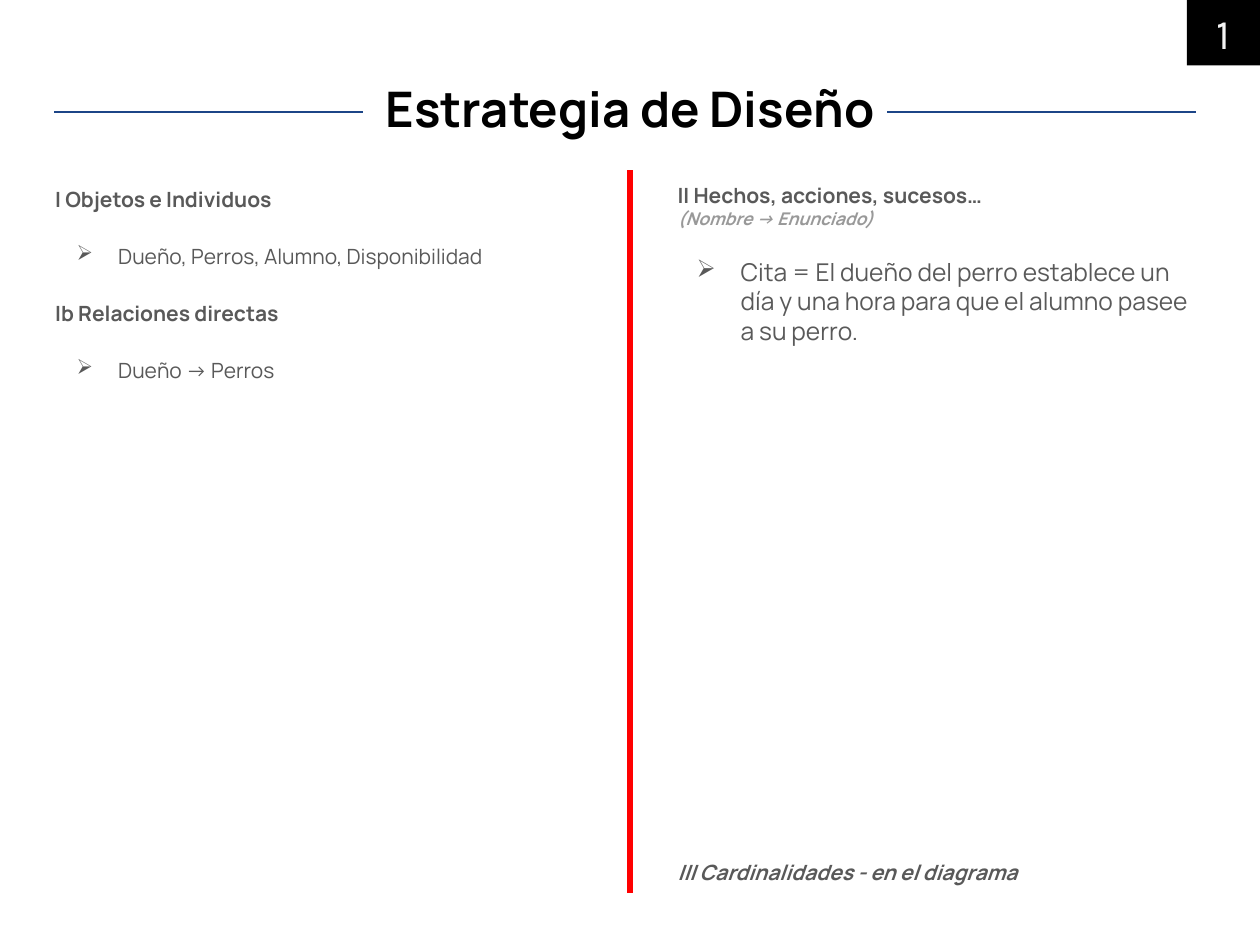
from lxml import etree
from pptx import Presentation
from pptx.dml.color import RGBColor
from pptx.enum.shapes import MSO_CONNECTOR, MSO_SHAPE
from pptx.enum.text import MSO_ANCHOR, PP_ALIGN
from pptx.oxml.ns import qn
from pptx.util import Inches, Pt

LINE, RECT = MSO_CONNECTOR.STRAIGHT, MSO_SHAPE.RECTANGLE
TOP, MIDDLE = MSO_ANCHOR.TOP, MSO_ANCHOR.MIDDLE
LEFT, CENTER = PP_ALIGN.LEFT, PP_ALIGN.CENTER

# Slide grid, in inches
WIDE, HIGH = 10, 7.5
EDGE, COL = 0.34, 4.37
RIGHT = 5.28
HEAD, BODY, FOOT = 0.52, 1.35, 7.09
PAD = 0.1
GRAY = "595959"


def color(code):
    return RGBColor.from_string(code)


def set_frame(shape, anchor=TOP):
    frame = shape.text_frame
    frame.word_wrap = True
    frame.vertical_anchor = anchor
    frame.margin_left = frame.margin_right = Inches(PAD)
    frame.margin_top = frame.margin_bottom = Inches(PAD)
    return frame


def add_box(slide, box):
    return set_frame(slide.shapes.add_textbox(*map(Inches, box)))


def add_run(para, text, size=12, font="Manrope", ink=GRAY, bold=False, italic=False):
    run = para.add_run()
    run.text = text
    face = run.font
    face.size, face.name = Pt(size), font
    face.bold, face.italic = bold, italic
    face.color.rgb = color(ink)


def add_text(frame, text, align=LEFT, space=1, before=0, after=0, hang=None, **style):
    """Add a paragraph; a hang width gives it an arrow bullet."""
    first = frame.paragraphs[0]
    para = frame.add_paragraph() if first.runs else first
    para.alignment, para.line_spacing = align, space
    para.space_before, para.space_after = Pt(before), Pt(after)
    if hang:
        props = para._p.get_or_add_pPr()
        props.set("marL", str(Inches(0.5)))
        props.set("indent", str(-Inches(hang)))
        tint = etree.SubElement(props, qn("a:buClr"))
        etree.SubElement(tint, qn("a:srgbClr"), val=GRAY)
        etree.SubElement(props, qn("a:buChar"), char="➢")
    add_run(para, text, **style)
    return para


def add_rule(slide, start, end, ink, width):
    rule = slide.shapes.add_connector(LINE, *map(Inches, start + end))
    rule.line.color.rgb = color(ink)
    rule.line.width = Pt(width)
    etree.SubElement(rule._element.spPr, qn("a:effectLst"))


def add_title(slide, box):
    x, y, w, h = box
    add_text(add_box(slide, box), "Estrategia de Diseño", align=CENTER,
             size=28, ink="000000", bold=True)
    # Rules on both sides of the title
    span, inset, level = 2.45, 0.09, y + 0.37
    for left in (x + inset, x + w - 0.17 - span):
        add_rule(slide, (left + span, level), (left, level), "1C4587", 1.5)


def add_objects(slide, box):
    frame = add_box(slide, box)
    groups = [("I Objetos e Individuos", "Dueño, Perros, Alumno, Disponibilidad"),
              ("Ib Relaciones directas", "Dueño -> Perros")]
    for i, (head, item) in enumerate(groups):
        add_text(frame, head, space=1.15, before=16 if i else 0, bold=True)
        add_text(frame, item, space=1.15, before=16, hang=0.33)


def add_facts(slide, box):
    frame = add_box(slide, box)
    para = add_text(frame, "II Hechos, acciones, sucesos…", bold=True)
    para.add_line_break()
    add_run(para, "(Nombre -> Enunciado)", size=10, ink="999999",
            bold=True, italic=True)
    add_text(frame, "Cita = El dueño del perro establece un día y una hora "
             "para que el alumno pasee a su perro.",
             before=16, hang=0.35, size=14)


def add_note(slide, box):
    add_text(add_box(slide, box), "III Cardinalidades - en el diagrama",
             space=1.15, after=16, bold=True, italic=True)


def add_number(slide, box):
    tag = slide.shapes.add_shape(RECT, *map(Inches, box))
    tag.shadow.inherit = False
    tag.fill.solid()
    tag.fill.fore_color.rgb = color("000000")
    tag.line.fill.background()
    add_text(set_frame(tag, MIDDLE), "1", align=CENTER,
             size=24, font="Karla", ink="F3F3F3")


def main():
    deck = Presentation()
    deck.slide_width, deck.slide_height = Inches(WIDE), Inches(HIGH)
    slide = deck.slides.add_slide(deck.slide_layouts[6])

    add_objects(slide, (EDGE, BODY, COL, FOOT - BODY))
    add_title(slide, (EDGE, HEAD, WIDE - 2 * EDGE, BODY - HEAD))
    add_facts(slide, (RIGHT, BODY, COL, 5.28))
    add_number(slide, (WIDE - 0.58, 0, 0.58, HEAD))
    # Divider between the columns
    add_rule(slide, (WIDE / 2, BODY), (WIDE / 2, FOOT), "FF0000", 3)
    add_note(slide, (RIGHT, FOOT - 0.4, 0.75 * COL, 0.4))

    deck.save("out.pptx")


if __name__ == "__main__":
    main()
